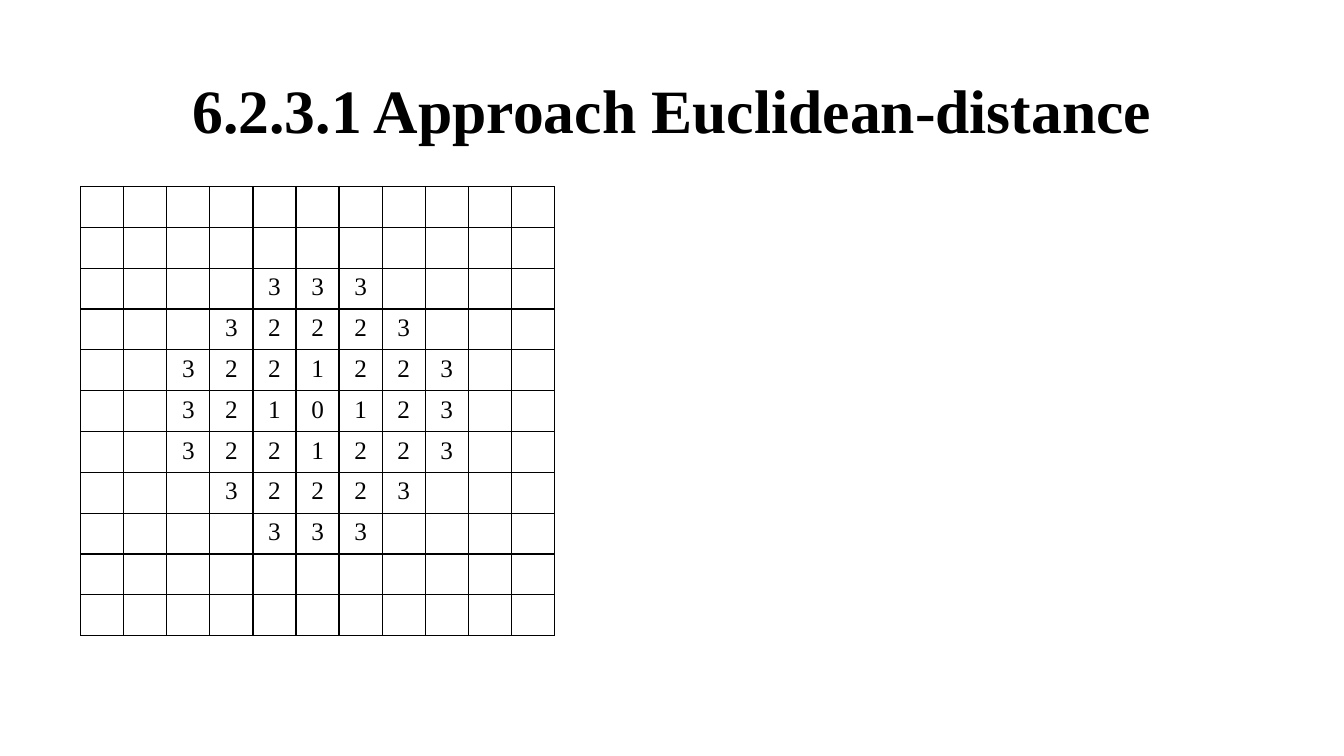
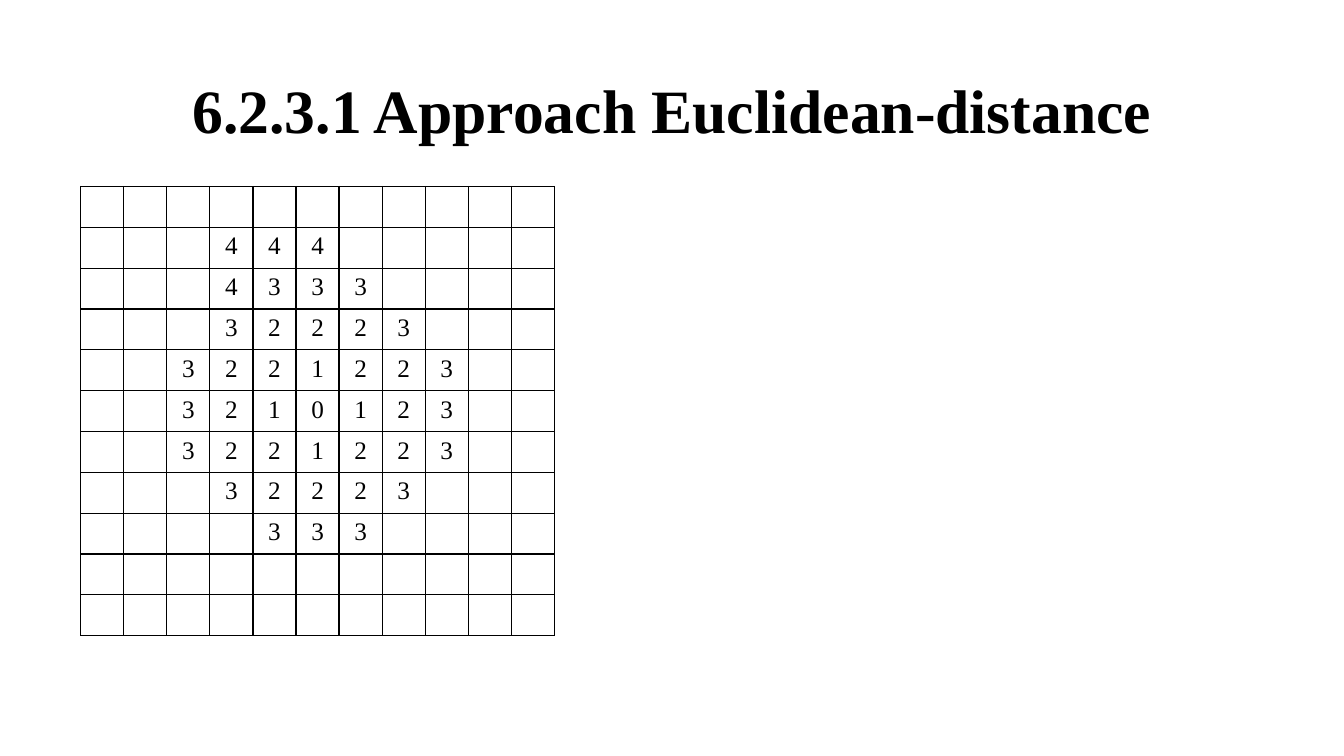
from dataclasses import dataclass

from lxml.etree import SubElement
from pptx import Presentation
from pptx.dml.color import RGBColor as RGB
from pptx.enum.text import MSO_ANCHOR as ANCHOR, PP_ALIGN as ALIGN
from pptx.oxml.ns import qn
from pptx.util import Inches, Pt


@dataclass(frozen=True)
class Theme:
    font: str = "Times New Roman"
    ink: str = "000000"
    paper: str = "FFFFFF"
    title_size: int = 44
    cell_size: int = 18
    border_width: int = 1


class Deck:
    def __init__(self, theme):
        self.theme = theme
        self.prs = Presentation()
        self.prs.slide_width = Inches(13.33)
        self.prs.slide_height = Inches(7.5)
        self.s = None

    def add_slide(self, title):
        self.s = self.prs.slides.add_slide(self.prs.slide_layouts[5])
        sp = self.s.shapes.title
        sp.left, sp.top = Inches(0.92), Inches(0.4)
        sp.width, sp.height = Inches(11.5), Inches(1.45)
        tf = sp.text_frame
        tf.text = title
        tf.vertical_anchor = ANCHOR.MIDDLE
        p = tf.paragraphs[0]
        p.line_spacing = 0.9
        self.style(p, self.theme.title_size, bold=True)

    def style(self, p, size, bold=False):
        p.alignment = ALIGN.CENTER
        p.font.name = self.theme.font
        p.font.size = Pt(size)
        p.font.bold = bold
        p.font.color.rgb = RGB.from_string(self.theme.ink)

    def border(self, cell):
        tc_pr = cell._tc.get_or_add_tcPr()
        for side in ("lnL", "lnR", "lnT", "lnB"):
            ln = SubElement(tc_pr, qn(f"a:{side}"), w=str(Pt(self.theme.border_width)))
            fill = SubElement(ln, qn("a:solidFill"))
            SubElement(fill, qn("a:srgbClr"), val=self.theme.ink)

    def add_grid(self, rows, left, top, width, height):
        table = self.s.shapes.add_table(
            len(rows), len(rows[0]), left, top, width, height
        ).table
        table.first_row = table.horz_banding = False
        for r, row in enumerate(rows):
            for c, value in enumerate(row):
                cell = table.cell(r, c)
                self.border(cell)
                cell.fill.solid()
                cell.fill.fore_color.rgb = RGB.from_string(self.theme.paper)
                cell.text = value.strip(".")
                self.style(cell.text_frame.paragraphs[0], self.theme.cell_size)


TITLE = "6.2.3.1 Approach Euclidean-distance"
DISTANCES = [
    "...........",
    "...........",
    "....333....",
    "...32223...",
    "..3221223..",
    "..3210123..",
    "..3221223..",
    "...32223...",
    "....333....",
    "...........",
    "...........",
]
NEXT_RING = ["...........", "...444.....", "...4333...."]


def main():
    deck = Deck(Theme())
    for rows in (DISTANCES, NEXT_RING + DISTANCES[len(NEXT_RING):]):
        deck.add_slide(TITLE)
        deck.add_grid(rows, Inches(0.8), Inches(1.85), Inches(4.7), Inches(4.46))
    deck.prs.save("out.pptx")


if __name__ == "__main__":
    main()
